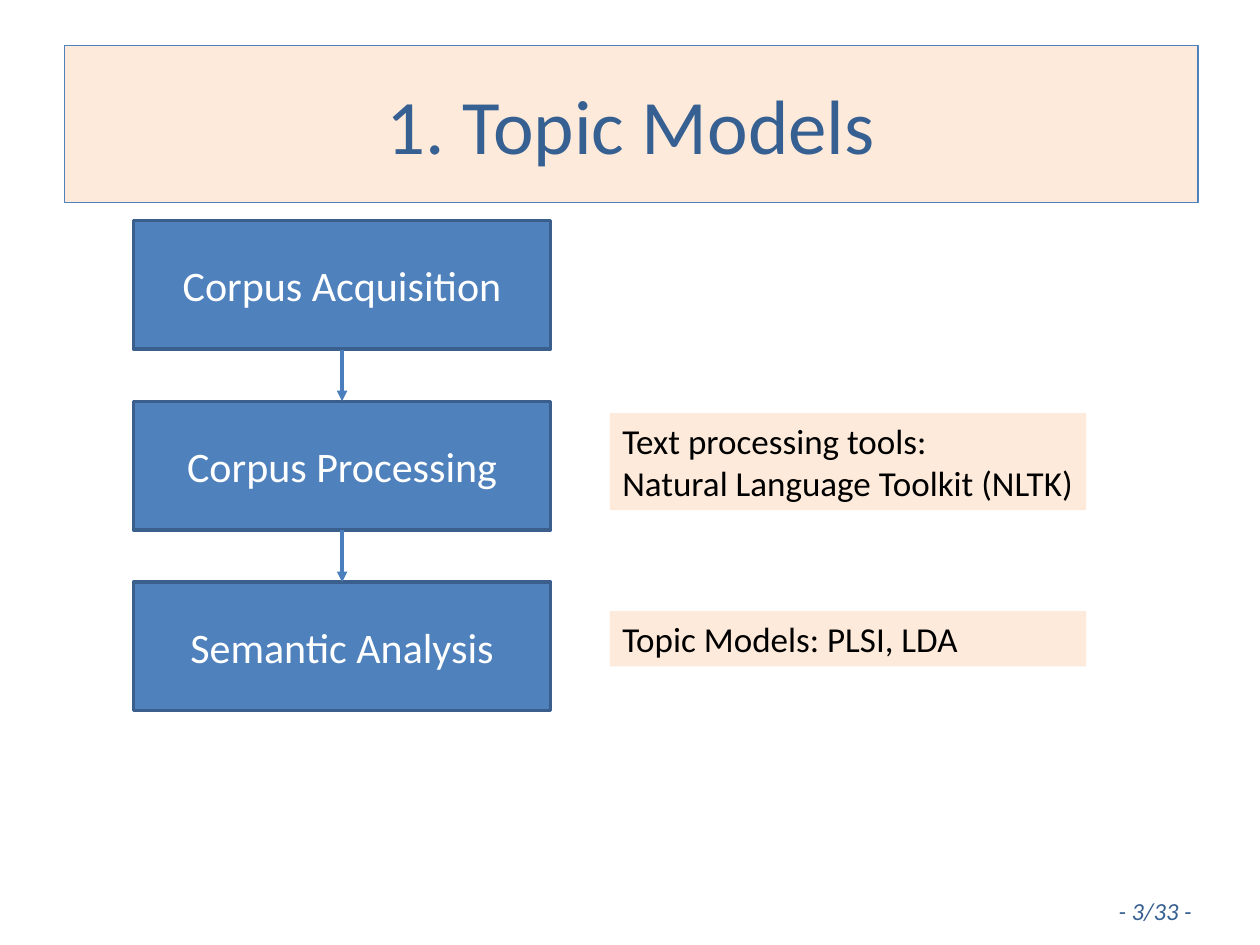
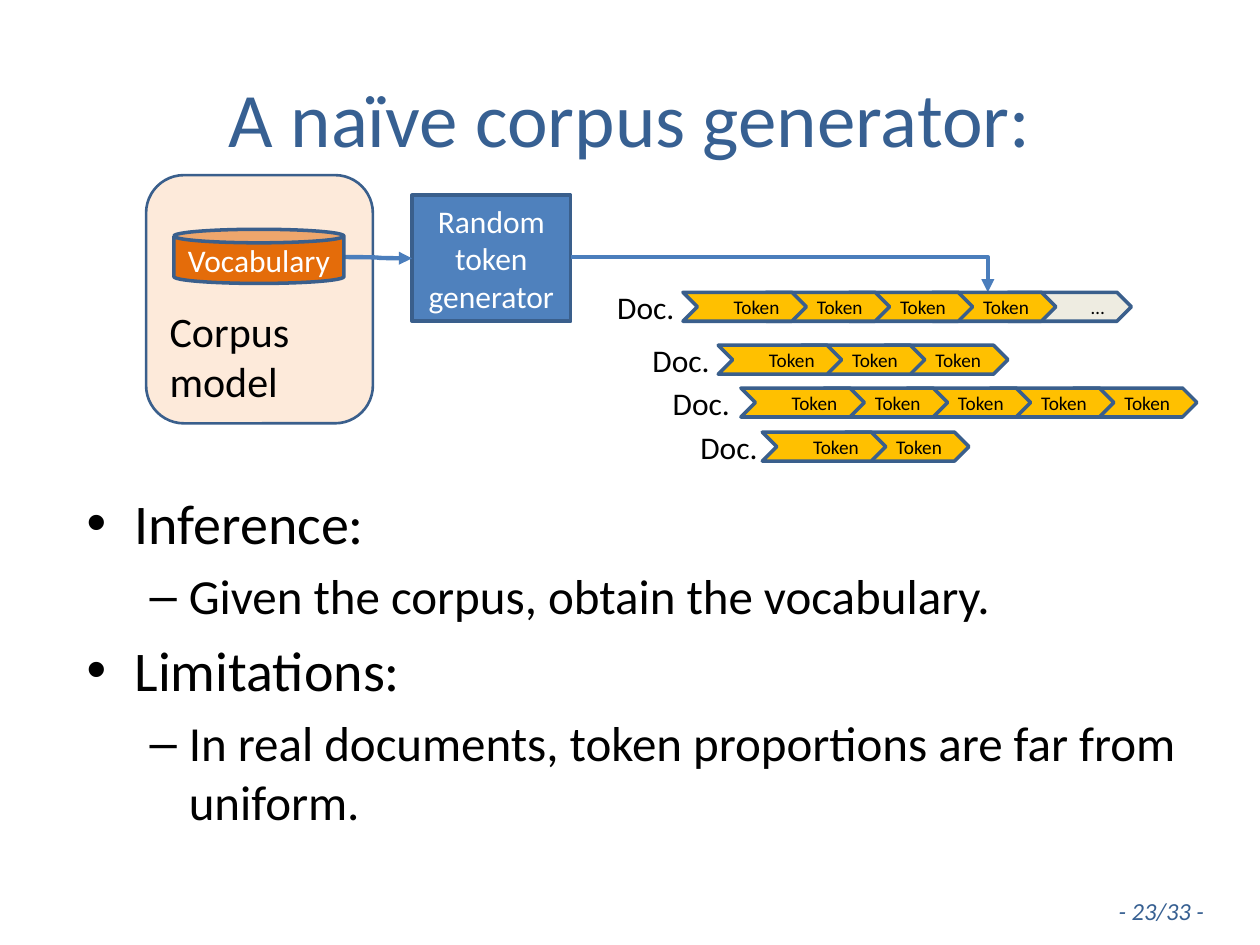
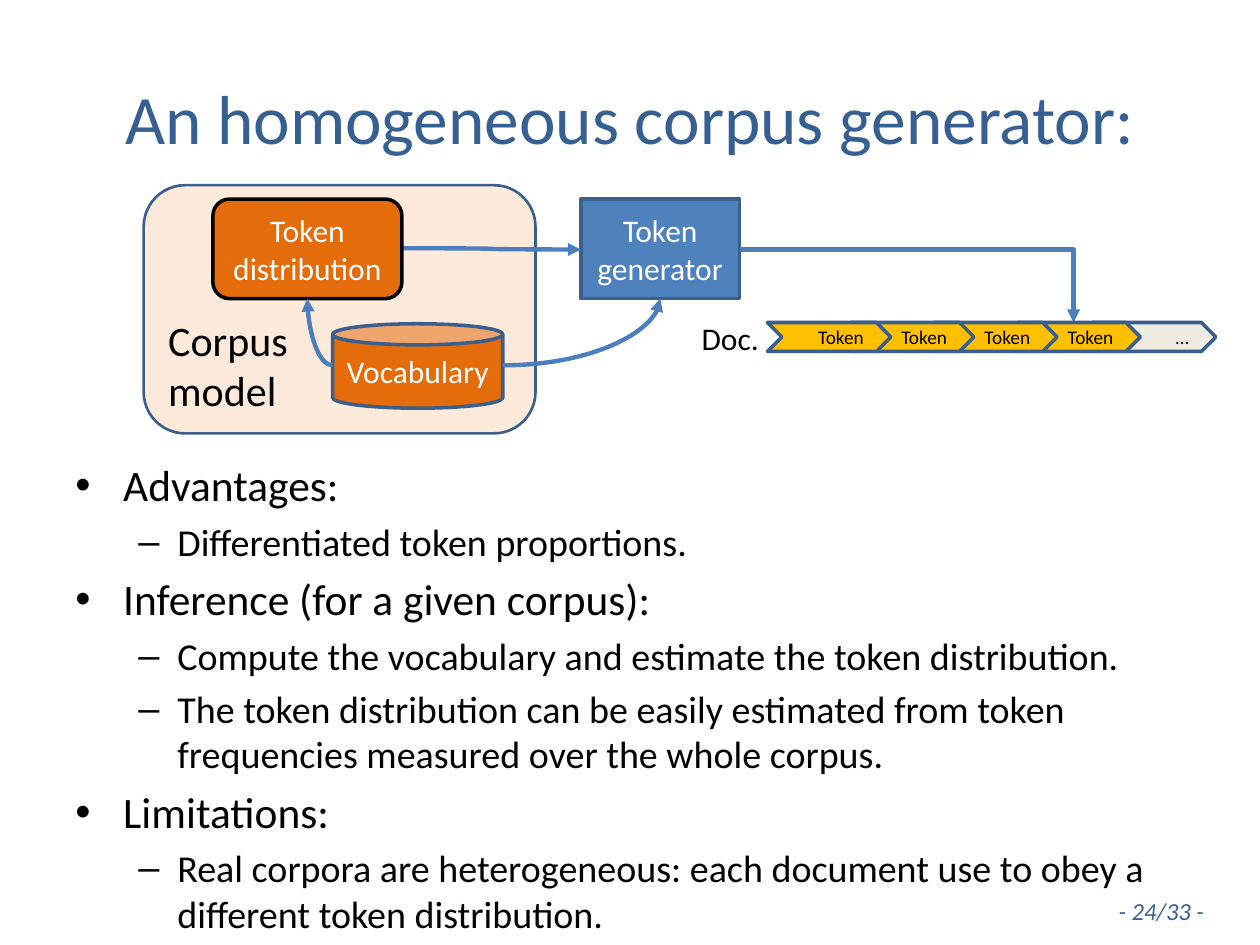
from lxml.etree import SubElement
from pptx import Presentation
from pptx.dml.color import RGBColor
from pptx.enum.shapes import MSO_CONNECTOR, MSO_SHAPE
from pptx.enum.text import MSO_ANCHOR, PP_ALIGN
from pptx.oxml.ns import qn
from pptx.util import Inches, Pt

NAVY, BLUE, EDGE, ARROW = "376092", "4F81BD", "3A5F8C", "4B7EBC"
PEACH, ORANGE, GOLD, IVORY = "FDEADA", "E46C0A", "FFC000", "EEECE1"
BLACK, WHITE = "000000", "FFFFFF"

# Every style overrides some of these values.
BASE = {"geometry": None, "fill": None, "edge": None, "edge_width": 2,
        "size": 18, "color": BLACK, "italic": False,
        "align": PP_ALIGN.LEFT, "anchor": MSO_ANCHOR.TOP, "wrap": True}
CENTERED = {"align": PP_ALIGN.CENTER, "anchor": MSO_ANCHOR.MIDDLE}
TITLE = {**CENTERED, "size": 44, "color": NAVY}
PAGE = {"size": 14, "color": NAVY, "italic": True, "wrap": False}
STEP = {**CENTERED, "geometry": MSO_SHAPE.RECTANGLE, "fill": BLUE,
        "edge": EDGE, "size": 24, "color": WHITE}
GENERATOR = {**STEP, "size": 18}
VOCABULARY = {**GENERATOR, "geometry": MSO_SHAPE.CAN, "fill": ORANGE}
DISTRIBUTION = {**VOCABULARY, "geometry": MSO_SHAPE.ROUNDED_RECTANGLE,
                "edge": BLACK}
NOTE = {"geometry": MSO_SHAPE.RECTANGLE, "fill": PEACH, "size": 20}
MODEL = {"geometry": MSO_SHAPE.ROUNDED_RECTANGLE, "fill": PEACH, "edge": EDGE,
         "edge_width": 1.5, "size": 24, "anchor": MSO_ANCHOR.BOTTOM}
TOKEN = {"geometry": MSO_SHAPE.CHEVRON, "fill": GOLD, "edge": EDGE,
         "size": 11, "align": PP_ALIGN.RIGHT, "anchor": MSO_ANCHOR.MIDDLE}
MORE = {**TOKEN, "fill": IVORY}

TITLE_AT = (0.5, 0.3, 9, 1.25)
TOKEN_PITCH = 0.66
LEVELS = [("•", 0.38, 0.38), ("–", 0.81, 0.31)]  # bullet, margin, hang


def add_box(slide, at, text, style):
    """Add a styled shape, or a text box when the style has no geometry."""
    look = {**BASE, **style}
    place = [Inches(length) for length in at]
    if look["geometry"] is None:
        box = slide.shapes.add_textbox(*place)
    else:
        box = slide.shapes.add_shape(look["geometry"], *place)
        box.shadow.inherit = False
    if look["fill"]:
        box.fill.solid()
        box.fill.fore_color.rgb = RGBColor.from_string(look["fill"])
    if look["edge"]:
        box.line.color.rgb = RGBColor.from_string(look["edge"])
        box.line.width = Pt(look["edge_width"])
    else:
        box.line.fill.background()
    frame = box.text_frame
    frame.text = text
    frame.word_wrap = look["wrap"]
    frame.vertical_anchor = look["anchor"]
    font = {"name": "Calibri", "size": Pt(look["size"]), "italic": look["italic"]}
    for paragraph in frame.paragraphs:
        paragraph.alignment = look["align"]
        for run in paragraph.runs:
            for attribute, value in font.items():
                setattr(run.font, attribute, value)
            run.font.color.rgb = RGBColor.from_string(look["color"])
    return box


def add_arrow(slide, kind, ends, width=2.5, preset=None):
    """Add an arrow; preset replaces the route that the kind gives."""
    arrow = slide.shapes.add_connector(kind, *[Inches(length) for length in ends])
    arrow.line.color.rgb = RGBColor.from_string(ARROW)
    arrow.line.width = Pt(width)
    properties = arrow._element.spPr
    SubElement(properties.find(qn("a:ln")), qn("a:tailEnd"), type="triangle")
    SubElement(properties, qn("a:effectLst"))
    if preset:
        properties.find(qn("a:prstGeom")).set("prst", preset)


deck = Presentation()
deck.slide_width, deck.slide_height = Inches(10), Inches(7.5)
topics, naive, homogeneous = [
    deck.slides.add_slide(deck.slide_layouts[6]) for _ in range(3)]
for slide, number in [(topics, 3), (naive, 23), (homogeneous, 24)]:
    add_box(slide, (8.78, 7.06, 0.92, 0.34), f"- {number}/33 -", PAGE)

# Topic models
add_box(topics, (0.51, 0.36, 9, 1.25), "1. Topic Models",
        {**TITLE, "geometry": MSO_SHAPE.RECTANGLE, "fill": PEACH,
         "edge": BLUE, "edge_width": 0.75})
steps = ["Corpus Acquisition", "Corpus Processing", "Semantic Analysis"]
for index, step in enumerate(steps):
    top = 1.75 + index * 1.435
    add_box(topics, (1.06, top, 3.31, 1.02), step, STEP)
    if index:
        add_arrow(topics, MSO_CONNECTOR.STRAIGHT, (2.715, top - 0.41, 2.715, top), 2)
add_box(topics, (4.84, 3.28, 3.78, 0.77),
        "Text processing tools:\nNatural Language Toolkit (NLTK)", NOTE)
add_box(topics, (4.84, 4.85, 3.78, 0.44), "Topic Models: PLSI, LDA", NOTE)

# Naïve generator
add_box(naive, (1.16, 1.39, 1.8, 1.97), "Corpus\nmodel", MODEL)
add_box(naive, TITLE_AT, "A naïve corpus generator:", TITLE)
add_box(naive, (3.27, 1.55, 1.26, 1), "Random\ntoken generator", GENERATOR)
add_arrow(naive, MSO_CONNECTOR.ELBOW, (4.53, 2.04, 7.84, 2.32),
          preset="bentConnector2")
add_arrow(naive, MSO_CONNECTOR.CURVE, (2.73, 2.04, 3.27, 2.05))
add_box(naive, (1.38, 1.82, 1.35, 0.43), "Vocabulary", VOCABULARY)

# Homogeneous generator
add_box(homogeneous, (1.14, 1.47, 3.11, 1.97), "Corpus\nmodel", MODEL)
add_box(homogeneous, TITLE_AT, "An homogeneous corpus generator:",
        {**TITLE, "size": 39.6})
add_box(homogeneous, (4.61, 1.58, 1.26, 0.79), "Token generator", GENERATOR)
add_arrow(homogeneous, MSO_CONNECTOR.ELBOW, (5.87, 1.98, 8.52, 2.56),
          preset="bentConnector2")
add_arrow(homogeneous, MSO_CONNECTOR.CURVE, (3.19, 1.97, 4.61, 1.98))
add_box(homogeneous, (1.69, 1.58, 1.5, 0.79), "Token distribution", DISTRIBUTION)
add_box(homogeneous, (2.64, 2.57, 1.35, 0.67), "Vocabulary", VOCABULARY)
for ends in [(3.99, 2.9, 5.24, 2.37), (2.64, 2.9, 2.44, 2.37)]:
    add_arrow(homogeneous, MSO_CONNECTOR.CURVE, ends, preset="curvedConnector2")

# Documents: label left, first token left, top, number of tokens, open end.
# Tokens go from right to left, so that each one overlaps the next.
documents = [
    (naive, 4.8, 5.42, 2.32, 4, True),
    (naive, 5.08, 5.7, 2.74, 3, False),
    (naive, 5.24, 5.88, 3.08, 5, False),
    (naive, 5.46, 6.05, 3.43, 2, False),
    (homogeneous, 5.47, 6.09, 2.56, 4, True),
]
for slide, label_left, left, top, count, open_end in documents:
    if open_end:
        add_box(slide, (left + 2.58, top, 0.98, 0.23), "…", MORE)
    for index in reversed(range(count)):
        add_box(slide, (left + index * TOKEN_PITCH, top, 0.98, 0.23), "Token", TOKEN)
    add_box(slide, (label_left, top - 0.08, 0.71, 0.4), "Doc.", {})

# Bullet lists: place, text size of each level, (level, text)
outlines = [
    (naive, (0.59, 3.83, 9, 3.35), (32, 28), [
        (0, "Inference:"),
        (1, "Given the corpus, obtain the vocabulary."),
        (0, "Limitations:"),
        (1, "In real documents, token proportions are far from uniform."),
    ]),
    (homogeneous, (0.5, 3.59, 9, 3.39), (24.8, 21.7), [
        (0, "Advantages:"),
        (1, "Differentiated token proportions."),
        (0, "Inference (for a given corpus):"),
        (1, "Compute the vocabulary and estimate the token distribution."),
        (1, "The token distribution can be easily estimated from token "
            "frequencies measured over the whole corpus."),
        (0, "Limitations:"),
        (1, "Real corpora are heterogeneous: each document use to obey a "
            "different token distribution."),
    ]),
]
for slide, at, sizes, points in outlines:
    outline = add_box(slide, at, "\n".join(text for _, text in points), {})
    for paragraph, (level, _) in zip(outline.text_frame.paragraphs, points):
        bullet, margin, hang = LEVELS[level]
        paragraph.level = level
        paragraph.space_before = Pt(sizes[level] * 0.2)
        paragraph.runs[0].font.size = Pt(sizes[level])
        properties = paragraph._p.get_or_add_pPr()
        properties.set("marL", str(Inches(margin)))
        properties.set("indent", str(-Inches(hang)))
        SubElement(properties, qn("a:buFont"), typeface="Arial")
        SubElement(properties, qn("a:buChar"), char=bullet)

deck.save("out.pptx")
